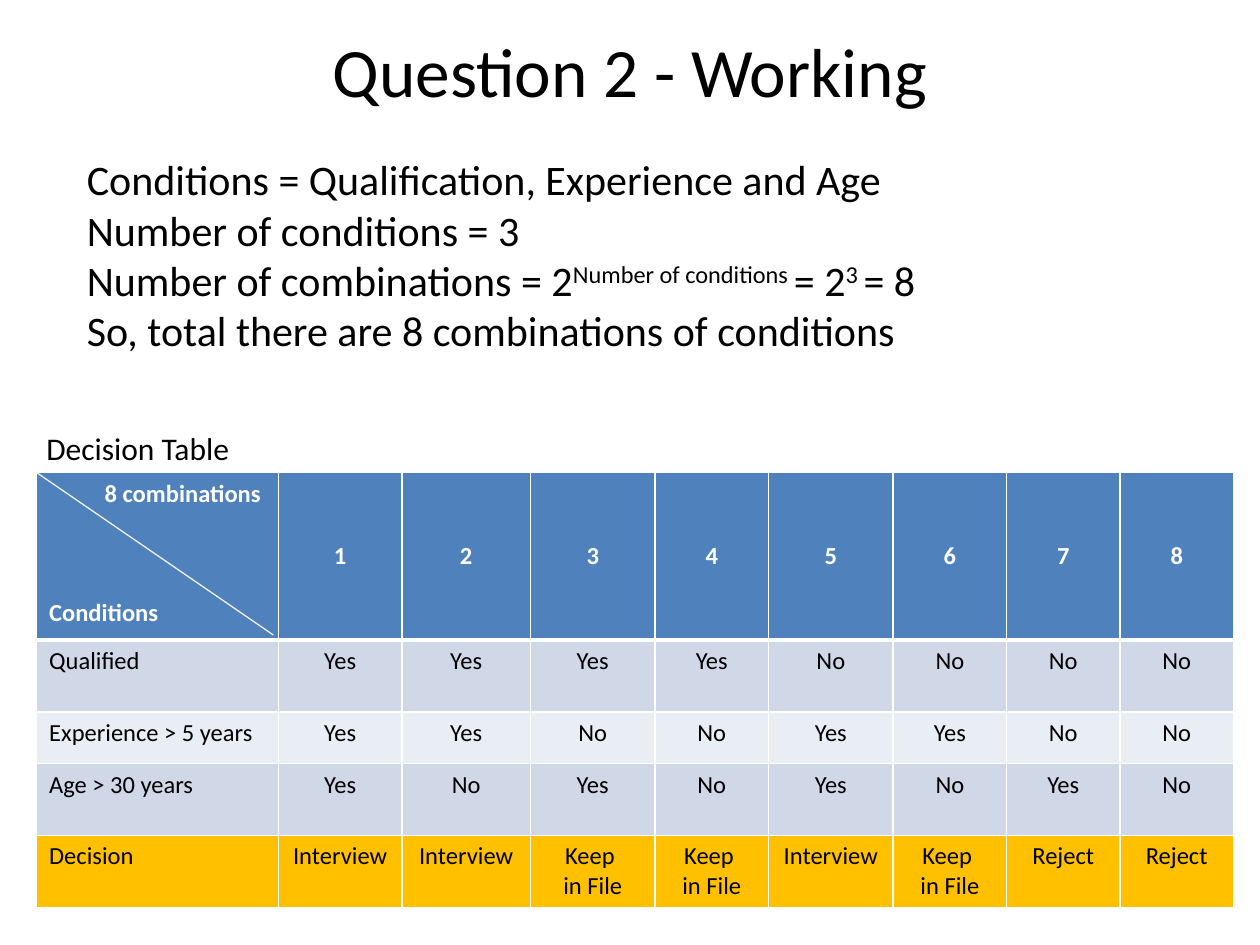
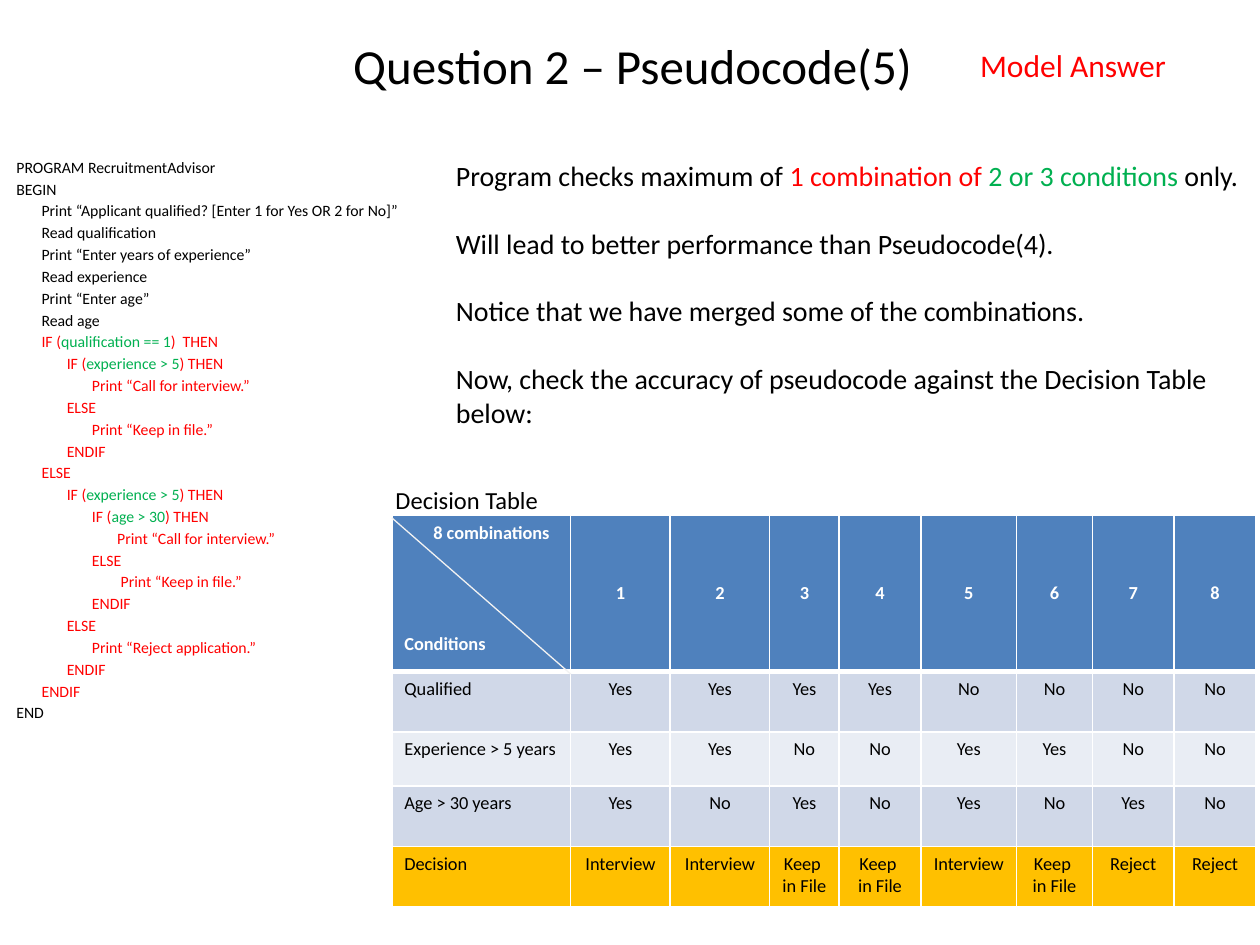
from dataclasses import dataclass
from itertools import product

from lxml.etree import SubElement
from pptx import Presentation
from pptx.dml.color import RGBColor
from pptx.enum.shapes import MSO_CONNECTOR
from pptx.enum.text import MSO_ANCHOR, MSO_AUTO_SIZE, PP_ALIGN
from pptx.oxml.ns import qn
from pptx.util import Inches, Pt

BLACK = RGBColor(0x00, 0x00, 0x00)
WHITE = RGBColor(0xFF, 0xFF, 0xFF)
RED = RGBColor(0xFF, 0x00, 0x00)
GREEN = RGBColor(0x00, 0xB0, 0x50)
HEADER_BLUE = RGBColor(0x4F, 0x81, 0xBD)
BAND_DARK = RGBColor(0xD0, 0xD8, 0xE8)
BAND_LIGHT = RGBColor(0xE9, 0xED, 0xF4)
DECISION_GOLD = RGBColor(0xFF, 0xC0, 0x00)
DIAGONAL_GREY = RGBColor(0xF2, 0xF2, 0xF2)
FONT = "Calibri"

CONDITIONS = ("Qualified", "Experience > 5 years", "Age > 30 years")
KEEP = "Keep \nin File"
DECISIONS = ("Interview", "Interview", KEEP, KEEP, "Interview", KEEP, "Reject", "Reject")

# Indent level, colour and text; bars enclose the tested condition.
PSEUDOCODE = (
    (0, BLACK, "PROGRAM RecruitmentAdvisor"),
    (0, BLACK, "BEGIN"),
    (1, BLACK, "Print “Applicant qualified? [Enter 1 for Yes OR 2 for No]”"),
    (1, BLACK, "Read qualification"),
    (1, BLACK, "Print “Enter years of experience”"),
    (1, BLACK, "Read experience"),
    (1, BLACK, "Print “Enter age”"),
    (1, BLACK, "Read age"),
    (1, RED, "IF (|qualification == 1|)  THEN"),
    (2, RED, "IF (|experience > 5|) THEN"),
    (3, RED, "Print “Call for interview.”"),
    (2, RED, "ELSE"),
    (3, RED, "Print “Keep in file.”"),
    (2, RED, "ENDIF"),
    (1, RED, "ELSE"),
    (2, RED, "IF (|experience > 5|) THEN"),
    (3, RED, "IF (|age > 30|) THEN"),
    (4, RED, "Print “Call for interview.”"),
    (3, RED, "ELSE"),
    (4, RED, " Print “Keep in file.”"),
    (3, RED, "ENDIF"),
    (2, RED, "ELSE"),
    (3, RED, "Print “Reject application.”"),
    (2, RED, "ENDIF"),
    (1, RED, "ENDIF"),
    (0, BLACK, "END"),
)


@dataclass
class Span:
    """A piece of a paragraph with its own colour or raised baseline."""
    text: str
    colour: RGBColor = BLACK
    raised: bool = False


def place(shape, box):
    """Move a shape to a box of left, top, width and height in inches."""
    shape.left, shape.top, shape.width, shape.height = map(Inches, box)


def write_paragraphs(frame, paragraphs, size, gap=0, bold=False, align=None):
    """Fill a text frame with paragraphs, each a list of spans."""
    for index, spans in enumerate(paragraphs):
        para = frame.paragraphs[0] if index == 0 else frame.add_paragraph()
        para.font.name = FONT
        para.font.size = Pt(size)
        para.font.bold = bold
        para.alignment = align
        para.space_before = Pt(gap if index else 0)
        for span in spans:
            run = para.add_run()
            run.text = span.text
            run.font.color.rgb = span.colour
            if span.raised:
                run._r.get_or_add_rPr().set("baseline", "30000")


def indent(para, inches):
    """Set the left indent of a paragraph."""
    properties = para._p.get_or_add_pPr()
    properties.set("marL", str(Inches(inches)))
    properties.set("indent", "0")
    return properties


def set_title(page, box, text, size):
    """Place the centred title."""
    title = page.shapes.title
    place(title, box)
    title.text_frame.auto_size = MSO_AUTO_SIZE.NONE
    title.text_frame.vertical_anchor = MSO_ANCHOR.MIDDLE
    write_paragraphs(title.text_frame, [[Span(text)]], size, align=PP_ALIGN.CENTER)


def add_text(page, box, paragraphs, size, gap=0, wrap=True):
    """Add a text box of coloured paragraphs."""
    frame = page.shapes.add_textbox(*map(Inches, box)).text_frame
    frame.word_wrap = wrap
    write_paragraphs(frame, paragraphs, size, gap)


def set_borders(cell, top, bottom):
    """Draw white borders of one point, with own widths above and below."""
    properties = cell._tc.get_or_add_tcPr()
    for side, width in (("lnL", 1), ("lnR", 1), ("lnT", top), ("lnB", bottom)):
        border = SubElement(properties, qn(f"a:{side}"), w=str(Pt(width)))
        fill = SubElement(border, qn("a:solidFill"))
        SubElement(fill, qn("a:srgbClr"), val=str(WHITE))


def fill_cell(cell, text, size, fill, header=False, centred=True):
    """Write and colour one table cell."""
    lines = [[Span(line, WHITE if header else BLACK)] for line in text.split("\n")]
    write_paragraphs(cell.text_frame, lines, size, bold=header,
                     align=PP_ALIGN.CENTER if centred else PP_ALIGN.LEFT)
    cell.fill.solid()
    cell.fill.fore_color.rgb = fill


def add_diagonal(page, start, end):
    """Draw the line that splits the corner cell."""
    line = page.shapes.add_connector(MSO_CONNECTOR.STRAIGHT, *map(Inches, start + end))
    line.line.color.rgb = DIAGONAL_GREY
    line.line.width = Pt(0.75)
    SubElement(line._element.spPr, qn("a:effectLst"))


def add_decision_table(page, box, widths, heights, size, corner_indent):
    """Add the table of all condition combinations and their decisions."""
    answers = list(zip(*product(("Yes", "No"), repeat=len(CONDITIONS))))
    rows = [("8 combinations\nConditions", *map(str, range(1, 9)))]
    rows += [(name, *row) for name, row in zip(CONDITIONS, answers)]
    rows.append(("Decision", *DECISIONS))
    fills = (HEADER_BLUE, BAND_DARK, BAND_LIGHT, BAND_DARK, DECISION_GOLD)

    table = page.shapes.add_table(len(rows), len(widths), *map(Inches, box)).table
    for column, width in zip(table.columns, widths):
        column.width = Inches(width)
    for r, (texts, height, fill) in enumerate(zip(rows, heights, fills)):
        table.rows[r].height = Inches(height)
        for c, text in enumerate(texts):
            cell = table.cell(r, c)
            set_borders(cell, 3 if r == 1 else 1, 3 if r == 0 else 1)
            fill_cell(cell, text, size, fill, header=r == 0, centred=c > 0)
            if r == 0 and c > 0:
                cell.vertical_anchor = MSO_ANCHOR.MIDDLE

    upper, lower = table.cell(0, 0).text_frame.paragraphs
    indent(upper, corner_indent)
    lower.space_before = Pt(51)


def fill_pseudocode(page, box):
    """Write the indented program in the body placeholder."""
    body = page.placeholders[1]
    place(body, box)
    frame = body.text_frame
    frame.auto_size = MSO_AUTO_SIZE.NONE
    lines = [[Span(part, GREEN if i % 2 else colour)
              for i, part in enumerate(text.split("|"))]
             for _, colour, text in PSEUDOCODE]
    write_paragraphs(frame, lines, 9, gap=1.65)
    for para, (level, _, _) in zip(frame.paragraphs, PSEUDOCODE):
        SubElement(indent(para, 0.2 * level), qn("a:buNone"))


def build_working(deck):
    """Slide with the count of combinations and the decision table."""
    page = deck.slides.add_slide(deck.slide_layouts[5])
    set_title(page, (0.5, 0.21, 9, 0.69), "Question 2 - Working", 39.6)
    add_decision_table(page, (0.29, 3.75, 9.5, 3.45),
                       (1.92, 0.98, 1.02, 0.99, 0.9, 0.99, 0.9, 0.9, 0.9),
                       (1.33, 0.57, 0.41, 0.57, 0.57), 14, 0.44)
    add_text(page, (0.59, 1.17, 8.91, 1.72), [
        [Span("Conditions = Qualification, Experience and Age")],
        [Span("Number of conditions = 3")],
        [Span("Number of combinations = 2"), Span("Number of conditions ", raised=True),
         Span("= 2"), Span("3 ", raised=True), Span("= 8")],
        [Span("So, total there are 8 combinations of conditions")],
    ], 24)
    add_diagonal(page, (0.29, 3.75), (2.17, 5.04))
    add_text(page, (0.27, 3.36, 1.67, 0.4), [[Span("Decision Table")]], 18, wrap=False)


def build_pseudocode(deck):
    """Slide with the model program, remarks and the decision table."""
    page = deck.slides.add_slide(deck.slide_layouts[1])
    set_title(page, (0.52, 0.27, 9, 0.49), "Question 2 – Pseudocode(5)", 28)
    fill_pseudocode(page, (0.03, 1.2, 3.69, 4.82))
    add_text(page, (3.52, 1.21, 6.46, 2.26), [
        [Span("Program checks maximum of "), Span("1 combination of ", RED),
         Span("2 or 3 conditions ", GREEN), Span("only.")],
        [Span("Will lead to better performance than Pseudocode(4).")],
        [Span("Notice that we have merged some of the combinations.")],
        [Span("Now, check the accuracy of pseudocode against the Decision Table below:")],
    ], 16, gap=19.5)
    add_decision_table(page, (3.11, 4.09, 6.86, 3.11),
                       (1.42, 0.79, 0.79, 0.55, 0.65, 0.76, 0.6, 0.65, 0.65),
                       (1.24, 0.48, 0.43, 0.48, 0.48), 10.5, 0.23)
    add_text(page, (3.04, 3.8, 1.35, 0.34), [[Span("Decision Table")]], 14, wrap=False)
    add_diagonal(page, (3.11, 4.11), (4.53, 5.35))
    add_text(page, (7.68, 0.32, 1.71, 0.4), [[Span("Model Answer", RED)]], 18)


deck = Presentation()
deck.slide_width = Inches(10)
deck.slide_height = Inches(7.5)
build_working(deck)
build_pseudocode(deck)
deck.save("out.pptx")
